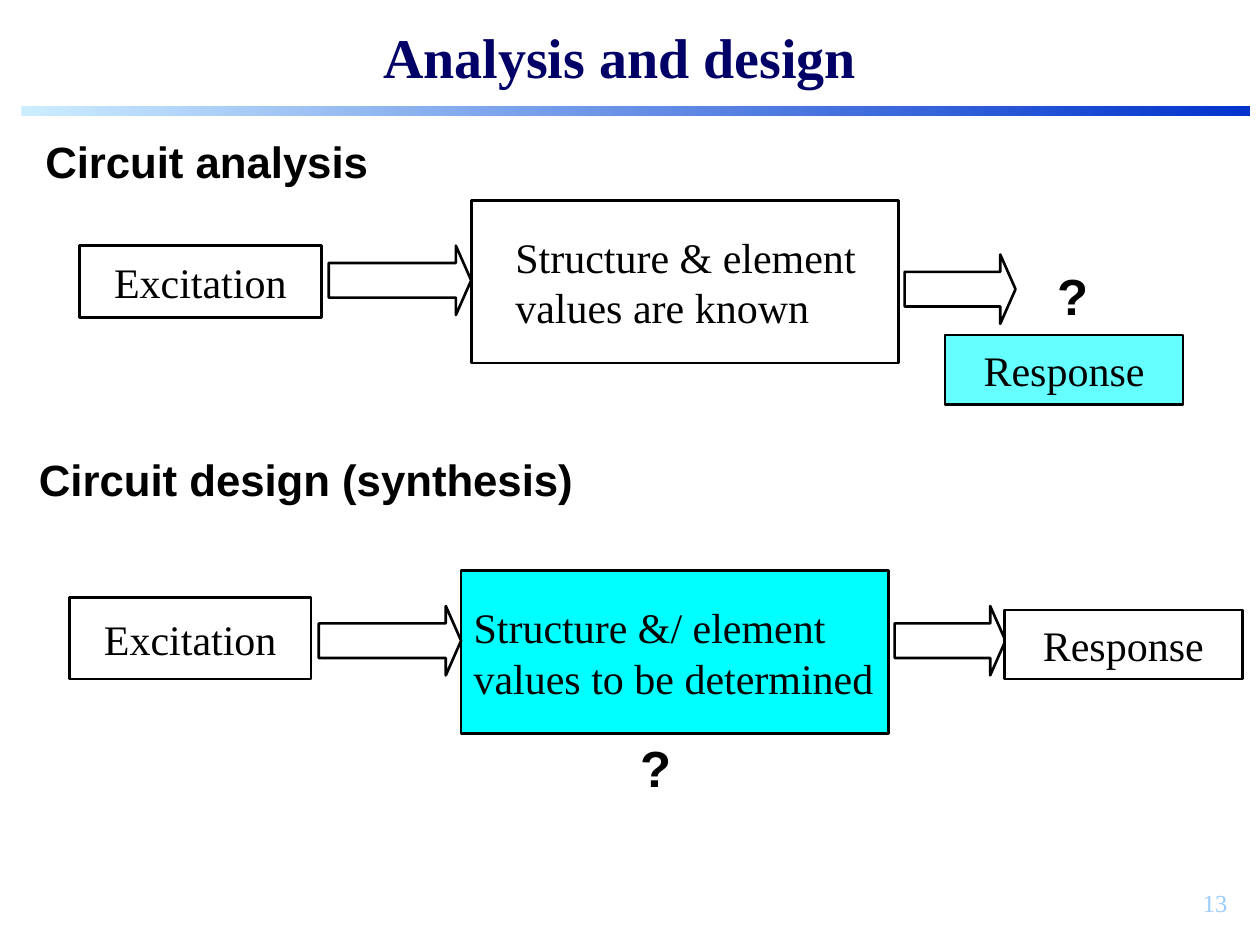
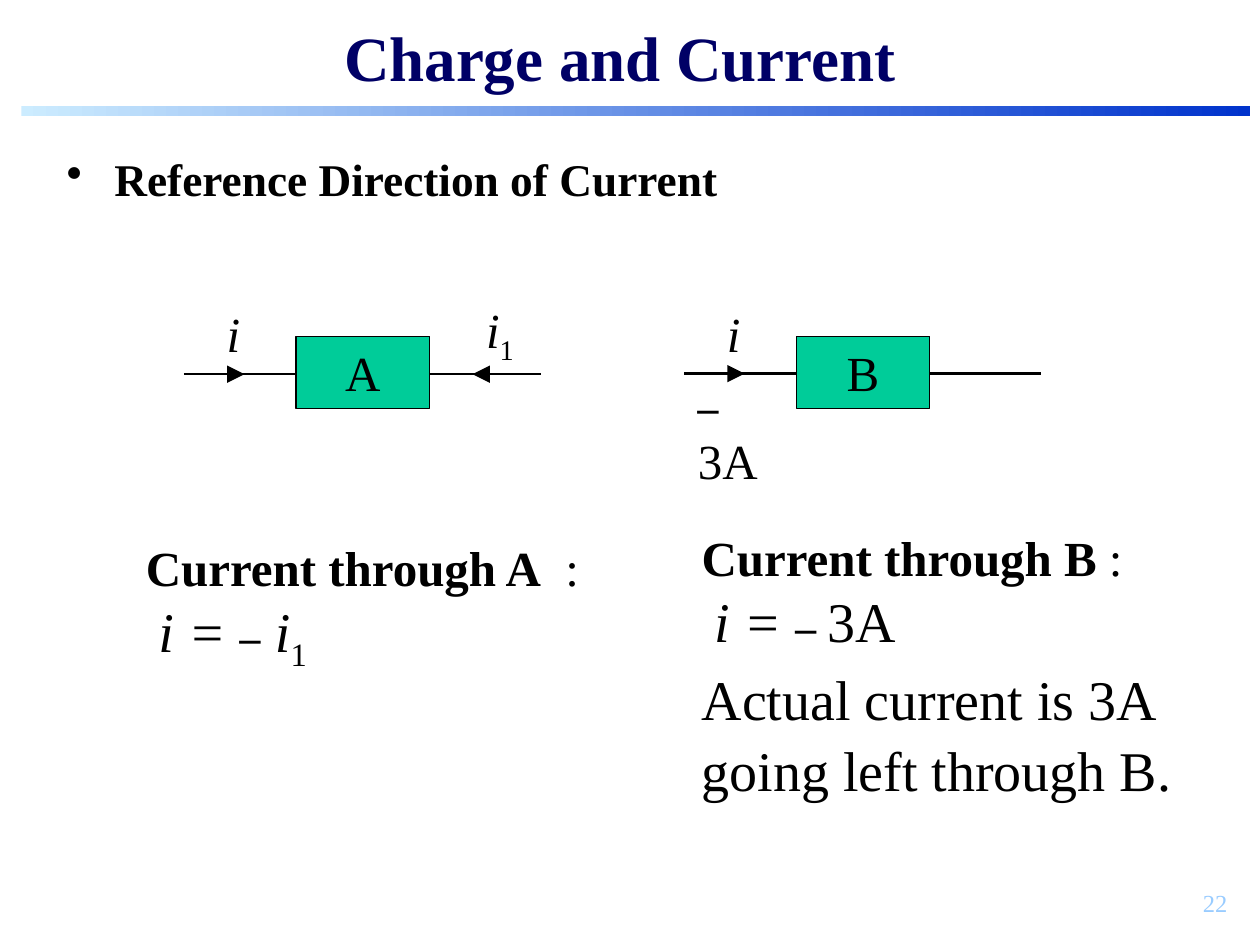
from collections import namedtuple

from lxml import etree
from pptx import Presentation
from pptx import util as u
from pptx.dml.color import RGBColor
from pptx.enum import shapes, text
from pptx.oxml.ns import qn

Box = namedtuple("Box", "column row columns rows")

COLUMNS, ROWS = 100, 75
WIDTH, HEIGHT = u.Inches(10), u.Inches(7.5)
SERIF, SANS = "Times New Roman", "Arial"
BLACK = RGBColor(0x00, 0x00, 0x00)
WHITE = RGBColor(0xFF, 0xFF, 0xFF)
NAVY = RGBColor(0x00, 0x00, 0x66)
PALE_BLUE = RGBColor(0xCC, 0xEC, 0xFF)
ROYAL_BLUE = RGBColor(0x00, 0x33, 0xCC)
NUMBER_BLUE = RGBColor(0x99, 0xCC, 0xFF)
CYAN = RGBColor(0x00, 0xFF, 0xFF)
LIGHT_CYAN = RGBColor(0x66, 0xFF, 0xFF)
GREEN = RGBColor(0x00, 0xCC, 0x99)

TITLE = Box(6.7, 1.3, 85, 6.3)
BAND = Box(1.7, 8.4, 97.5, 0.8)
NUMBER = Box(77.6, 70, 20.8, 5)


def inside(box, column, row, columns=0, rows=0):
    """Return a box whose place is relative to the given box."""
    return Box(box.column + column, box.row + row, columns, rows)


def place(box):
    """Turn a box of grid cells into left, top, width and height."""
    across, down = WIDTH / COLUMNS, HEIGHT / ROWS
    return (int(box.column * across), int(box.row * down),
            int(box.columns * across), int(box.rows * down))


def write(para, words, size=24, bold=False, italic=False, face=SERIF,
          colour=BLACK, baseline=None, align=None):
    """Add one formatted span to a paragraph."""
    span = para.add_run()
    span.text = words
    span.font.size = u.Pt(size)
    span.font.bold, span.font.italic = bold, italic
    span.font.name = face
    span.font.color.rgb = colour
    if baseline is not None:
        span.font._element.set("baseline", str(baseline * 1000))
    if align is not None:
        para.alignment = align


def set_indent(para, left, first=0):
    """Set the left and first-line indents of a paragraph in inches."""
    properties = para._p.get_or_add_pPr()
    properties.set("marL", str(u.Inches(left)))
    properties.set("indent", str(u.Inches(first)))
    return properties


def add_text(page, box, words=None, inset=(0.1, 0.05), wrap=True, **style):
    """Add a text box and return its frame."""
    frame = page.shapes.add_textbox(*place(box)).text_frame
    frame.word_wrap = wrap
    frame.margin_left = frame.margin_right = u.Inches(inset[0])
    frame.margin_top = frame.margin_bottom = u.Inches(inset[1])
    if words:
        write(frame.paragraphs[0], words, **style)
    return frame


def add_block(page, box, kind=shapes.MSO_SHAPE.RECTANGLE, fill=WHITE, line=1.5):
    """Add a filled, black-outlined shape without shadow."""
    block = page.shapes.add_shape(kind, *place(box))
    block.shadow.inherit = False
    block.fill.solid()
    block.fill.fore_color.rgb = fill
    block.line.color.rgb = BLACK
    block.line.width = u.Pt(line)
    return block


def add_label_block(page, box, words, size=24, align=text.PP_ALIGN.CENTER,
                    inset=0.1, **look):
    """Add a block holding one vertically centred label."""
    frame = add_block(page, box, **look).text_frame
    frame.word_wrap = True
    frame.vertical_anchor = text.MSO_ANCHOR.MIDDLE
    frame.margin_left, frame.margin_right = u.Inches(inset), u.Inches(0.05)
    if align == text.PP_ALIGN.CENTER:
        frame.margin_right = frame.margin_left
    write(frame.paragraphs[0], words, size=size, align=align)


def add_block_arrow(page, box):
    """Add a hollow arrow pointing right."""
    arrow = add_block(page, box, shapes.MSO_SHAPE.RIGHT_ARROW)
    arrow.adjustments[0], arrow.adjustments[1] = 0.5, 0.22


def add_wire(page, box, start, end, row, width=1.5, head=False):
    """Add a horizontal line between two columns of a box."""
    left, top, _, _ = place(inside(box, start, row))
    right = place(inside(box, end, row))[0]
    wire = page.shapes.add_connector(shapes.MSO_CONNECTOR.STRAIGHT,
                                     left, top, right, top)
    wire.line.color.rgb = BLACK
    wire.line.width = u.Pt(width)
    if head:
        etree.SubElement(wire.line._get_or_add_ln(), qn("a:tailEnd"),
                         type="triangle", w="lg", len="lg")
    etree.SubElement(wire._element.spPr, qn("a:effectLst"))


def add_page(deck, heading, size, number):
    """Add a slide with its title, gradient band and number."""
    page = deck.slides.add_slide(deck.slide_layouts[5])
    title = page.shapes.title
    title.left, title.top, title.width, title.height = place(TITLE)
    title.text_frame.vertical_anchor = text.MSO_ANCHOR.MIDDLE
    title.text_frame.auto_size = text.MSO_AUTO_SIZE.NONE
    write(title.text_frame.paragraphs[0], heading, size=size, bold=True,
          colour=NAVY, align=text.PP_ALIGN.CENTER)
    band = page.shapes.add_shape(shapes.MSO_SHAPE.RECTANGLE, *place(BAND))
    band.shadow.inherit = False
    band.line.fill.background()
    band.fill.gradient()
    band.fill.gradient_angle = 0
    for stop, position, colour in zip(band.fill.gradient_stops, (0, 1),
                                      (PALE_BLUE, ROYAL_BLUE)):
        stop.position, stop.color.rgb = position, colour
    add_text(page, NUMBER, number, size=14, colour=NUMBER_BLUE,
             align=text.PP_ALIGN.RIGHT)
    return page


def add_system(page, box, heading, heading_at, excitation_row, excitation_rows,
               structure, structure_fill, structure_inset, arrow_rows,
               response_at, response_fill, question_at):
    """Draw excitation, structure and response joined by arrows."""
    add_text(page, inside(box, *heading_at, 45, 4.2), heading, inset=(0, 0),
             size=25, bold=True, face=SANS)
    add_label_block(page, inside(box, 0, excitation_row, 19.2, excitation_rows),
                    "Excitation")
    add_label_block(page, inside(box, 31.1, 0, 33.9, box.rows), structure,
                    fill=structure_fill, align=text.PP_ALIGN.LEFT,
                    inset=structure_inset)
    for column, row, columns in zip((19.8, 65.5), arrow_rows, (11.3, 8.8)):
        add_block_arrow(page, inside(box, column, row, columns, 5.5))
    add_label_block(page, inside(box, *response_at, 18.9, 5.5), "Response",
                    fill=response_fill)
    add_text(page, inside(box, *question_at, 6.3, 4.8), "?", inset=(0, 0),
             size=29, bold=True, face=SANS)


def add_element(page, box, name):
    """Draw a circuit element with wires and a current entering on the left."""
    wire_row = box.rows / 2
    add_label_block(page, inside(box, 8.9, 3.1, 10.6, 5.7), name, size=28,
                    kind=shapes.MSO_SHAPE.FLOWCHART_PROCESS, fill=GREEN,
                    line=0.75)
    add_wire(page, box, 0, 8.9, wire_row)
    add_wire(page, box, 19.5, box.columns, wire_row)
    add_wire(page, box, 3.1, 4.8, wire_row, 0.75, head=True)
    add_text(page, inside(box, 2.4, 0, 3.1, 5.7), "i", wrap=False, size=28,
             italic=True)


def add_conclusion(page, box, heading, colon, equation):
    """Write a bold heading with an indented equation below it."""
    frame = add_text(page, box)
    first, second = frame.paragraphs[0], frame.add_paragraph()
    write(first, heading, size=28, bold=True)
    write(first, colon, size=28)
    set_indent(second, 0.1)
    for words, style in equation:
        write(second, words, **style)
    return frame


def build_analysis_and_design(deck):
    """Build the slide that contrasts analysis with design."""
    page = add_page(deck, "Analysis and design", 32, "13")
    add_system(page, Box(6.3, 15.9, 87.6, 12.9), "Circuit analysis",
               heading_at=(-2.7, -5.2), excitation_row=3.6, excitation_rows=5.7,
               structure="Structure & element values are known",
               structure_fill=WHITE, structure_inset=0.35,
               arrow_rows=(3.6, 4.3), response_at=(68.7, 10.7),
               response_fill=LIGHT_CYAN, question_at=(77.6, 5.1))
    add_system(page, Box(5.5, 45.3, 93.1, 12.9), "Circuit design (synthesis)",
               heading_at=(-2.4, -9.4), excitation_row=2.1, excitation_rows=6.5,
               structure="Structure &/ element values to be determined",
               structure_fill=CYAN, structure_inset=0.1,
               arrow_rows=(2.8, 2.8), response_at=(74.2, 3.1),
               response_fill=WHITE, question_at=(45.3, 13.2))


def build_charge_and_current(deck):
    """Build the slide on the reference direction of current."""
    page = add_page(deck, "Charge and Current", 36, "22")
    bullet = add_text(page, Box(4.3, 11.5, 86.6, 5.5)).paragraphs[0]
    etree.SubElement(set_indent(bullet, 0.38, -0.38), qn("a:buChar"), char="•")
    write(bullet, "Reference Direction of Current", size=25.9, bold=True)

    element_a = Box(14.6, 23.6, 28.3, 12.2)
    element_b = Box(54.3, 23.6, 28.3, 12.1)
    add_element(page, element_a, "A")
    add_element(page, element_b, "B")
    add_wire(page, element_a, 26.4, 22.9, element_a.rows / 2, 0.75, head=True)
    opposite = add_text(page, inside(element_a, 23, -0.3, 4.2, 6.3), wrap=False)
    write(opposite.paragraphs[0], "i", size=28, italic=True)
    write(opposite.paragraphs[0], "1", size=28, baseline=-25)
    value = add_text(page, inside(element_b, 0.1, 6.1, 9.2, 5.7), wrap=False)
    write(value.paragraphs[0], "– ", bold=True, italic=True)
    write(value.paragraphs[0], "3A", size=28)

    large = dict(size=32, italic=True)
    minus = dict(size=24, bold=True, italic=True)
    add_conclusion(page, Box(10.6, 42.2, 40, 11.8), "Current through A", "  :",
                   [("i = ", large), ("–", minus), (" i", large),
                    ("1", dict(size=32, baseline=-25))])
    frame = add_conclusion(page, Box(54.7, 41.4, 42.9, 22.4),
                           "Current through B", " :",
                           [("i = ", large), ("– ", minus),
                            ("3A", dict(size=32))])
    for words, gap in (("Actual current is 3A", 6),
                       ("going left through B.", 2)):
        para = frame.add_paragraph()
        para.space_before = u.Pt(gap)
        write(para, words, size=32)


def main():
    """Build and save the deck."""
    deck = Presentation()
    deck.slide_width, deck.slide_height = WIDTH, HEIGHT
    build_analysis_and_design(deck)
    build_charge_and_current(deck)
    deck.save("out.pptx")


if __name__ == "__main__":
    main()
